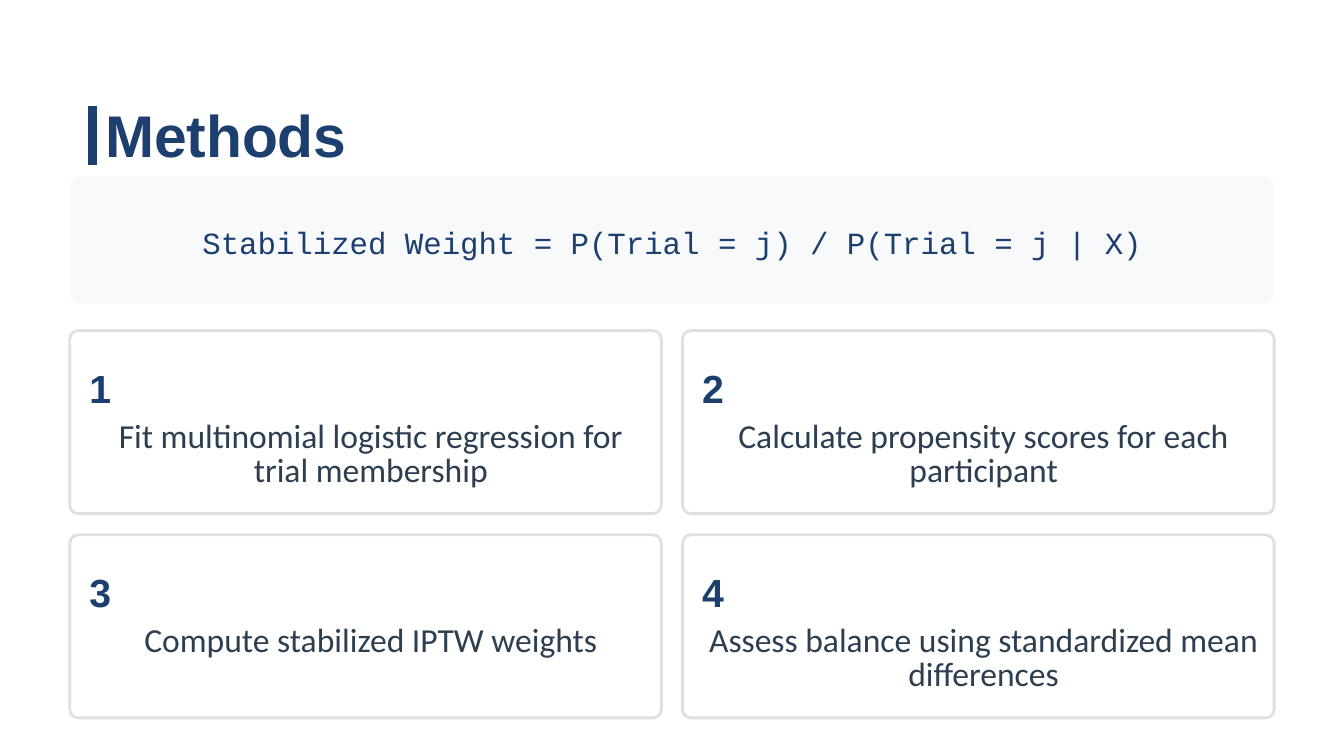
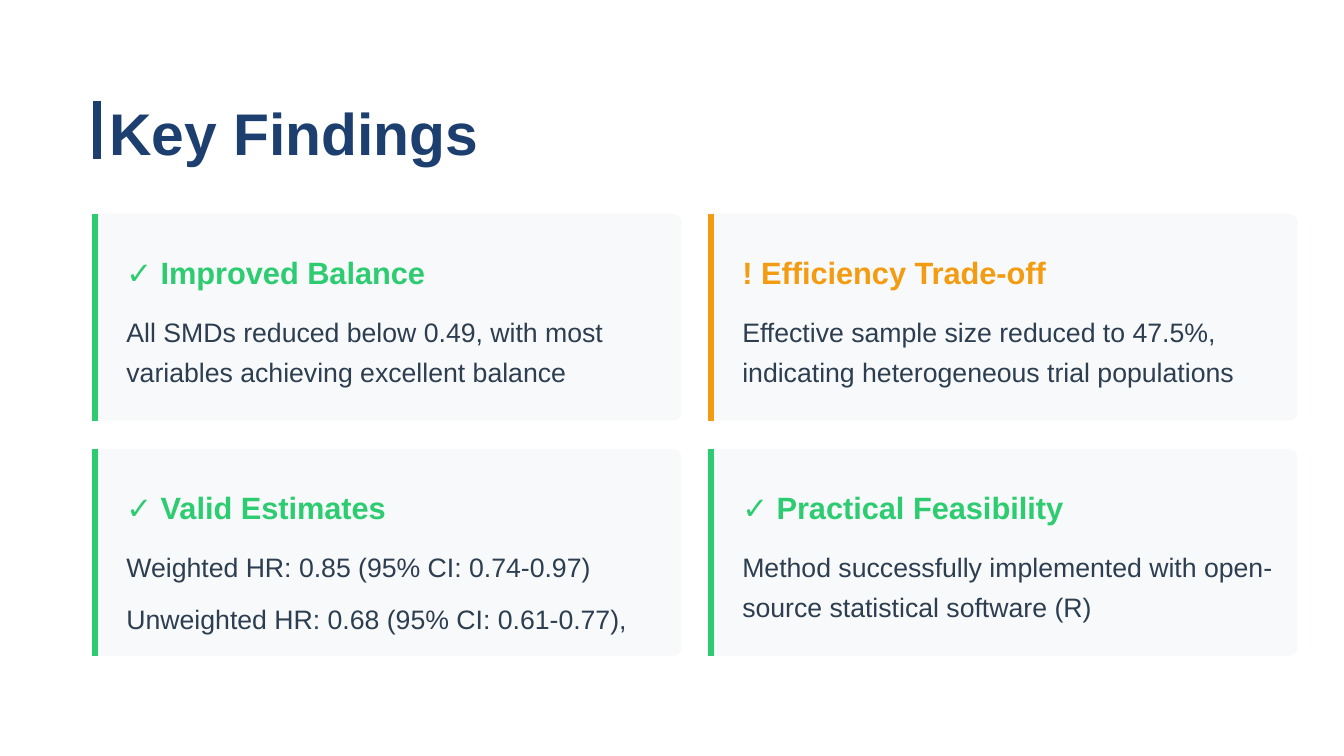
"""Build the Methods and Key Findings slides."""
from collections import namedtuple

from pptx import Presentation
from pptx.dml.color import RGBColor
from pptx.enum.shapes import MSO_CONNECTOR as Connector, MSO_SHAPE as Shape
from pptx.enum.text import PP_ALIGN as Align
from pptx.oxml.ns import qn
from pptx.util import Cm, Pt
from lxml.etree import SubElement

COLORS = {
    "navy": "1C3F6F",
    "text": "2C3E50",
    "panel": "F8F9FA",
    "white": "FFFFFF",
    "border": "E0E0E0",
    "green": "2ECC71",
    "orange": "F39C12",
}

Box = namedtuple("Box", "left top width height")
Style = namedtuple("Style", "font size color bold align spacing before after")

TITLE = Style("Arial", 31.5, "navy", True, Align.LEFT, 31.5, 0, 0)
FORMULA = Style("Courier New", 16.5, "navy", False, Align.CENTER, 23.1, 7.5, 7.5)
NUMBER = Style("Arial", 21, "navy", True, Align.LEFT, 29.4, 3, 6)
STEP = Style("Calibri", 18, "text", False, Align.CENTER, 17.9, 3, 3)
HEADING = Style("Arial", 16.5, "green", True, Align.LEFT, 23.1, 3, 9)
BODY = Style("Arial", 14.25, "text", False, Align.LEFT, 21.4, 3, 3)

STEPS = [
    "Fit multinomial logistic regression for trial membership",
    "Calculate propensity scores for each participant",
    "Compute stabilized IPTW weights",
    "Assess balance using standardized mean differences",
]

FINDINGS = [
    ("✓ Improved Balance", "green",
     ["All SMDs reduced below 0.49, with most variables achieving excellent balance"]),
    ("! Efficiency Trade-off", "orange",
     ["Effective sample size reduced to 47.5%, indicating heterogeneous trial populations"]),
    ("✓ Valid Estimates", "green",
     ["Weighted HR: 0.85 (95% CI: 0.74-0.97)",
      "Unweighted HR: 0.68 (95% CI: 0.61-0.77),"]),
    ("✓ Practical Feasibility", "green",
     ["Method successfully implemented with open-source statistical software (R)"]),
]


def rgb(name):
    return RGBColor.from_string(COLORS[name])


def inside(box, left, top, width, height):
    """Return a box whose position is relative to another box."""
    return Box(box.left + left, box.top + top, width, height)


def grid(first, gap_x, gap_y, count):
    """Return boxes of equal size in two columns, row by row."""
    return [
        inside(first, index % 2 * (first.width + gap_x),
               index // 2 * (first.height + gap_y), first.width, first.height)
        for index in range(count)
    ]


def add_text(page, box, lines, style):
    frame = page.shapes.add_textbox(*map(Cm, box)).text_frame
    frame.word_wrap = True
    frame.margin_left = frame.margin_top = 0
    frame.margin_right = frame.margin_bottom = 0
    frame.text = "\n".join(lines)
    for para in frame.paragraphs:
        para.alignment = style.align
        para.line_spacing = Pt(style.spacing)
        para.space_before = Pt(style.before)
        para.space_after = Pt(style.after)
        for span in para.runs:
            span.font.name = style.font
            span.font.size = Pt(style.size)
            span.font.bold = style.bold
            span.font.color.rgb = rgb(style.color)


def add_panel(page, box, fill, radius, border=None):
    panel = page.shapes.add_shape(Shape.ROUNDED_RECTANGLE, *map(Cm, box))
    panel.shadow.inherit = False
    panel.adjustments[0] = radius / min(box.width, box.height)
    panel.fill.solid()
    panel.fill.fore_color.rgb = rgb(fill)
    if border:
        panel.line.color.rgb = rgb(border)
        panel.line.width = Pt(1.5)
    else:
        panel.line.fill.background()


def add_bar(page, left, top, height, color, weight):
    bar = page.shapes.add_connector(
        Connector.STRAIGHT, Cm(left), Cm(top), Cm(left), Cm(top + height))
    bar.line.color.rgb = rgb(color)
    bar.line.width = Pt(weight)
    SubElement(bar.element.spPr, qn("a:effectLst"))


def add_title(page, box, text, bar_rise):
    """Place a title with an upright bar that starts above it."""
    add_bar(page, box.left - 0.24, box.top - bar_rise, 1.11, "navy", 4.5)
    add_text(page, box, [text], TITLE)


def add_formula(page, box, text):
    add_panel(page, box, "panel", 0.21)
    add_text(page, inside(box, 0.31, 0.79, box.width - 0.62, 0.81), [text], FORMULA)


def add_step(page, box, number, text):
    add_panel(page, box, "white", 0.16, "border")
    width = box.width - 0.54
    add_text(page, inside(box, 0.37, 0.48, width, 1.04), [str(number)], NUMBER)
    add_text(page, inside(box, 0.37, 1.73, width, 1.27), [text], STEP)


def add_finding(page, box, heading, color, lines):
    add_panel(page, box, "panel", 0.16)
    add_bar(page, box.left + 0.05, box.top, box.height, color, 3)
    width = box.width - 0.97
    add_text(page, inside(box, 0.64, 0.64, width, 0.81), [heading],
             HEADING._replace(color=color))
    add_text(page, inside(box, 0.64, 1.78, width, 1.5), lines, BODY)


def build_methods(page):
    add_title(page, Box(1.99, 2.08, 11.28, 1.12), "Methods", 0.07)
    add_formula(page, Box(1.32, 3.33, 22.76, 2.41),
                "Stabilized Weight = P(Trial = j) / P(Trial = j | X)")
    cells = grid(Box(1.32, 6.25, 11.18, 3.46), 0.4, 0.4, len(STEPS))
    for number, (cell, text) in enumerate(zip(cells, STEPS), 1):
        add_step(page, cell, number, text)


def build_findings(page):
    add_title(page, Box(2.07, 2.06, 11.28, 1.12), "Key Findings", 0.16)
    cells = grid(Box(1.75, 4.04, 11.13, 3.91), 0.51, 0.54, len(FINDINGS))
    for cell, finding in zip(cells, FINDINGS):
        add_finding(page, cell, *finding)


def main():
    deck = Presentation()
    deck.slide_width, deck.slide_height = Cm(25.4), Cm(14.29)
    for build in (build_methods, build_findings):
        build(deck.slides.add_slide(deck.slide_layouts[6]))
    deck.save("out.pptx")


if __name__ == "__main__":
    main()
